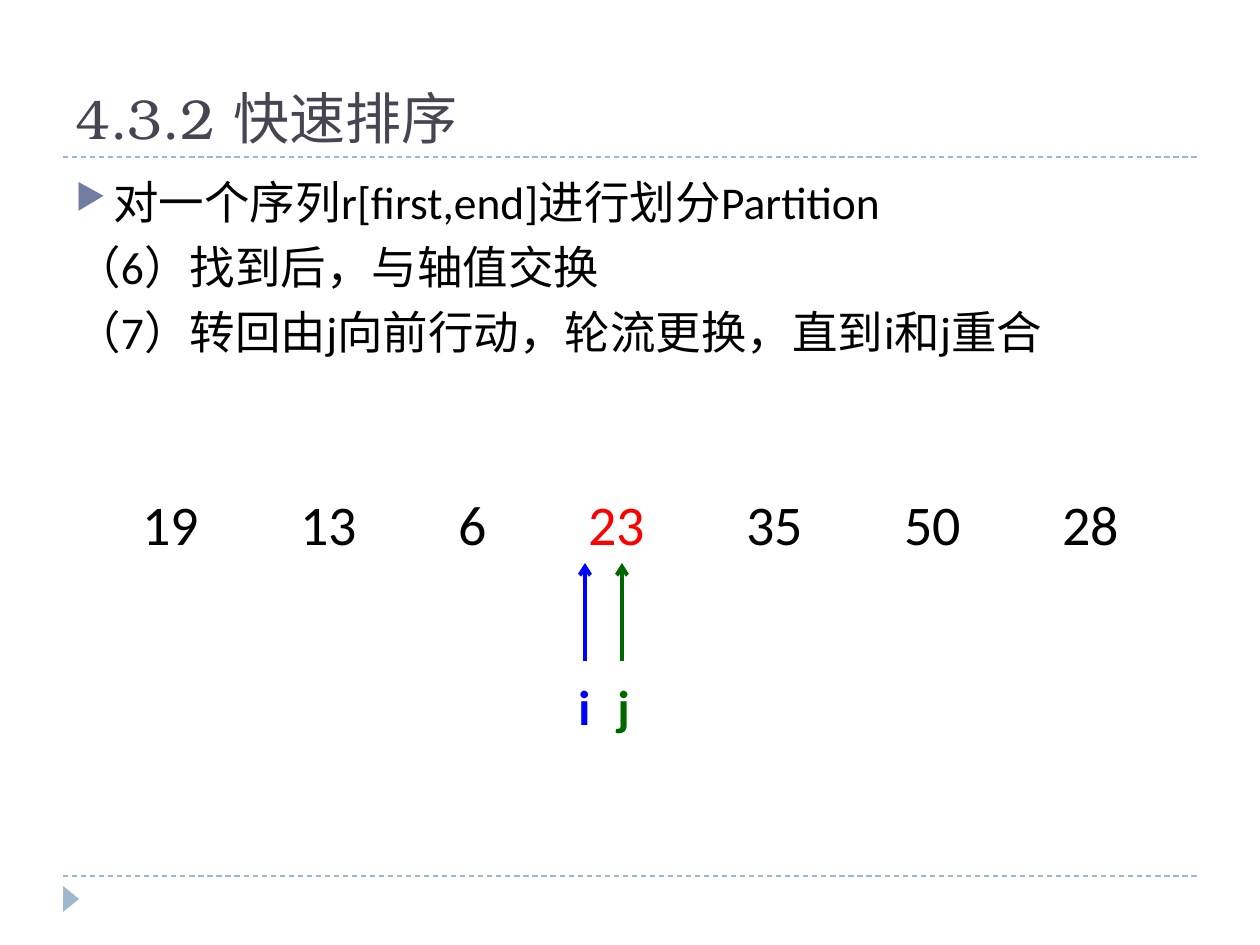
import lxml.etree
import pptx
import pptx.dml.color
import pptx.enum.dml
import pptx.enum.shapes
import pptx.enum.text
import pptx.oxml.ns
import pptx.util

PX = 914400 // 126
COLORS = {"black": "000000", "title": "464653", "bullet": "727CA3", "rule": "9FB8CD",
          "pivot": "FF0000", "i": "0000FF", "j": "006600"}
qn = pptx.oxml.ns.qn
rgb = pptx.dml.color.RGBColor.from_string

prs = pptx.Presentation()
prs.slide_width, prs.slide_height = 1260 * PX, 945 * PX
s = prs.slides.add_slide(prs.slide_layouts[6])


def add_text(x, y, w, h, paragraphs, size, font="Calibri", color="black", bold=False,
             wrap=True, anchor="TOP", space=0):
    """Each paragraph is a list of runs: plain text, or a (text, color) pair."""
    tf = s.shapes.add_textbox(x * PX, y * PX, w * PX, h * PX).text_frame
    tf.word_wrap = wrap
    tf.vertical_anchor = pptx.enum.text.MSO_ANCHOR[anchor]
    for n, runs in enumerate(paragraphs):
        p = tf.paragraphs[0] if n == 0 else tf.add_paragraph()
        if n:
            p.space_before = pptx.util.Pt(space)
        for run in runs:
            text, run_color = (run, color) if isinstance(run, str) else run
            r = p.add_run()
            r.text = text
            r.font.name, r.font.size, r.font.bold = font, pptx.util.Pt(size), bold
            r.font.color.rgb = rgb(COLORS[run_color])
    return tf


def add_line(x1, y1, x2, y2, color, width):
    line = s.shapes.add_connector(pptx.enum.shapes.MSO_CONNECTOR.STRAIGHT,
                                  x1 * PX, y1 * PX, x2 * PX, y2 * PX)
    line.line.color.rgb = rgb(COLORS[color])
    line.line.width = pptx.util.Pt(width)
    lxml.etree.SubElement(line._element.spPr, qn("a:effectLst"))
    return line


# Frame: two dashed rules and the corner marker
for y in (876, 157):
    rule = add_line(63, y, 1197, y, "rule", 0.75)
    rule.line.dash_style = pptx.enum.dml.MSO_LINE.DASH
marker = s.shapes.add_shape(pptx.enum.shapes.MSO_SHAPE.ISOSCELES_TRIANGLE,
                            58 * PX, 891 * PX, 26 * PX, 16 * PX)
marker.rotation = 90
marker.shadow.inherit = False
marker.fill.solid()
marker.fill.fore_color.rgb = rgb(COLORS["rule"])
marker.line.fill.background()

add_text(63, 21, 1134, 136, [["4.3.2 快速排序"]], 32, font="TeX Gyre Bonum",
         color="title", anchor="BOTTOM")

# Steps: hanging indent, bullet on the first line only
steps = add_text(63, 168, 1134, 680, [["对一个序列r[first,end]进行划分Partition"],
                                      ["（6）找到后，与轴值交换"],
                                      ["（7）转回由j向前行动，轮流更换，直到i和j重合"]],
                 26, space=6)
for p in steps.paragraphs:
    pPr = p._p.get_or_add_pPr()
    pPr.set("marL", str(38 * PX))
    pPr.set("indent", str(-38 * PX))
pPr = steps.paragraphs[0]._p.get_or_add_pPr()
bullet_color = lxml.etree.SubElement(pPr, qn("a:buClr"))
lxml.etree.SubElement(bullet_color, qn("a:srgbClr"), val=COLORS["bullet"])
lxml.etree.SubElement(pPr, qn("a:buSzPct"), val="76000")
lxml.etree.SubElement(pPr, qn("a:buChar"), char="▶")

# Sequence: equal gaps between numbers, kept by tab stops
GAP, DIGIT = 103, 27.5
numbers = ["19", "13", "6", "23", "35", "50", "28"]
sequence = add_text(130, 483, 1020, 81,
                    [["19\t13\t6\t", ("23", "pivot"), "\t35\t50\t28"]], 32)
tabs = lxml.etree.SubElement(sequence.paragraphs[0]._p.get_or_add_pPr(), qn("a:tabLst"))
stop = 0
for number in numbers[:-1]:
    stop += int(GAP + DIGIT * len(number))
    lxml.etree.SubElement(tabs, qn("a:tab"), pos=str(stop * PX), algn="l")

# Pointers i and j, both at the pivot
for name, x, label_x in (("i", 585, 566), ("j", 622, 605)):
    arrow = add_line(x, 661, x, 563, name, 2.25)
    lxml.etree.SubElement(arrow.line._get_or_add_ln(), qn("a:tailEnd"), type="arrow")
    add_text(label_x, 670, 37, 72, [[name]], 28, color=name, bold=True, wrap=False)

prs.save("out.pptx")
